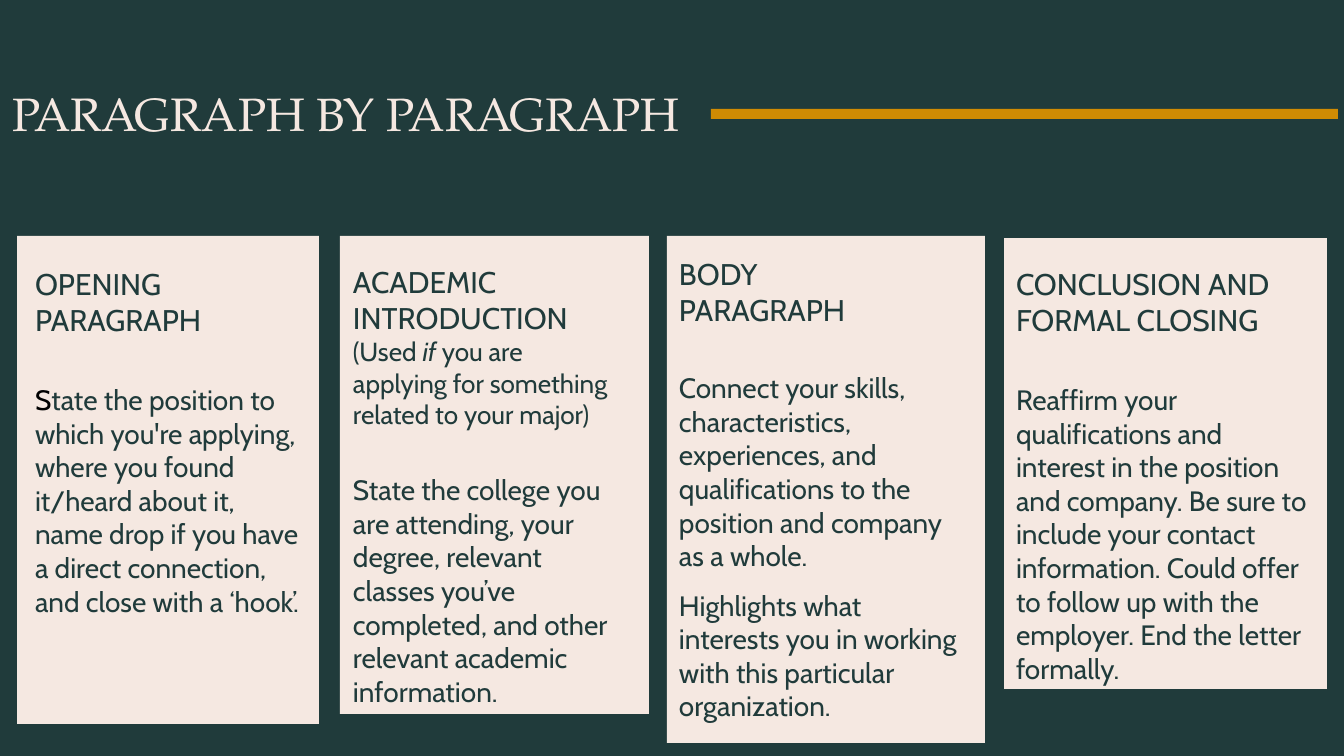
from pptx import Presentation
from pptx.dml.color import RGBColor
from pptx.enum.shapes import MSO_SHAPE
from pptx.enum.text import MSO_ANCHOR, PP_ALIGN
from pptx.util import Pt

PX = 914400 / 67.2
RECTANGLE = MSO_SHAPE.RECTANGLE
TOP = MSO_ANCHOR.TOP
LEFT = PP_ALIGN.LEFT

DARK = "203B3B"
CREAM = "F5E8E1"
GOLD = "D08B03"
BLACK = "000000"
TITLE_FONT = "TeX Gyre Pagella"
BODY_FONT = "Cabin"
HEADING_SIZE, NOTE_SIZE, BODY_SIZE = 32, 28, 30

CARDS = [
    {
        "box": (17, 236, 302, 488), "inset": 30, "indent": 18,
        "paragraphs": [
            (HEADING_SIZE, 0, 16, [("OPENING PARAGRAPH", DARK, False)]),
            (BODY_SIZE, 48, 16, [
                ("S", BLACK, False),
                ("tate the position to which you're applying, where you found "
                 "it/heard about it, name drop if you have a direct connection, "
                 "and close with a ‘hook’.", DARK, False),
            ]),
        ],
    },
    {
        "box": (340, 236, 309, 478), "inset": 28, "indent": 13,
        "paragraphs": [
            (HEADING_SIZE, 0, 38, [("ACADEMIC INTRODUCTION", DARK, False)]),
            (NOTE_SIZE, 0, 38, [
                ("(Used ", DARK, False),
                ("if", DARK, True),
                (" you are applying for something related to your major)", DARK, False),
            ]),
            (BODY_SIZE, 46, 38, [
                ("State the college you are attending, your degree, relevant "
                 "classes you’ve completed, and other relevant academic "
                 "information.", DARK, False),
            ]),
        ],
    },
    {
        "box": (667, 236, 318, 507), "inset": 20, "indent": 12,
        "paragraphs": [
            (HEADING_SIZE, 0, 100, [("BODY PARAGRAPH", DARK, False)]),
            (BODY_SIZE, 46, 22, [
                ("Connect your skills, characteristics, experiences, and "
                 "qualifications to the position and company as a whole.", DARK, False),
            ]),
            (BODY_SIZE, 17, 22, [
                ("Highlights what interests you in working with this "
                 "particular organization.", DARK, False),
            ]),
        ],
    },
    {
        "box": (1004, 238, 323, 451), "inset": 28, "indent": 12,
        "paragraphs": [
            (HEADING_SIZE, 0, 15, [("CONCLUSION AND FORMAL CLOSING", DARK, False)]),
            (BODY_SIZE, 48, 15, [
                ("Reaffirm your qualifications and interest in the position and "
                 "company. Be sure to include your contact information. Could "
                 "offer to follow up with the employer. End the letter "
                 "formally.", DARK, False),
            ]),
        ],
    },
]


def px(length):
    return round(length * PX)


def color(value):
    return RGBColor.from_string(value)


def add_rectangle(slide, box, fill):
    shape = slide.shapes.add_shape(RECTANGLE, *map(px, box))
    shape.shadow.inherit = False
    shape.fill.solid()
    shape.fill.fore_color.rgb = color(fill)
    shape.line.fill.background()
    return shape


def prepare_frame(shape, top_inset):
    frame = shape.text_frame
    frame.word_wrap = True
    frame.vertical_anchor = TOP
    frame.margin_left = frame.margin_right = frame.margin_bottom = 0
    frame.margin_top = px(top_inset)
    return frame


def add_run(paragraph, text, font_name, size, text_color, italic=False):
    run = paragraph.add_run()
    run.text = text
    run.font.name = font_name
    run.font.size = Pt(size)
    run.font.italic = italic
    run.font.color.rgb = color(text_color)


def add_title(slide, text):
    shape = slide.shapes.add_textbox(*map(px, (12, 71, 727, 71)))
    paragraph = prepare_frame(shape, 14).paragraphs[0]
    add_run(paragraph, text, TITLE_FONT, 50, CREAM)


def add_card(slide, card):
    shape = add_rectangle(slide, card["box"], CREAM)
    frame = prepare_frame(shape, card["inset"])
    for index, (size, space_before, right, runs) in enumerate(card["paragraphs"]):
        paragraph = frame.add_paragraph() if index else frame.paragraphs[0]
        paragraph.alignment = LEFT
        paragraph.space_before = Pt(space_before)
        properties = paragraph._p.get_or_add_pPr()
        properties.set("marL", str(px(card["indent"])))
        properties.set("marR", str(px(right)))
        for text, text_color, italic in runs:
            add_run(paragraph, text, BODY_FONT, size, text_color, italic)


def main():
    presentation = Presentation()
    presentation.slide_width = px(1344)
    presentation.slide_height = px(756)
    slide = presentation.slides.add_slide(presentation.slide_layouts[6])
    background = slide.background.fill
    background.solid()
    background.fore_color.rgb = color(DARK)
    add_title(slide, "PARAGRAPH BY PARAGRAPH")
    for card in CARDS:
        add_card(slide, card)
    add_rectangle(slide, (711, 109, 627, 10), GOLD)
    presentation.save("out.pptx")


if __name__ == "__main__":
    main()
